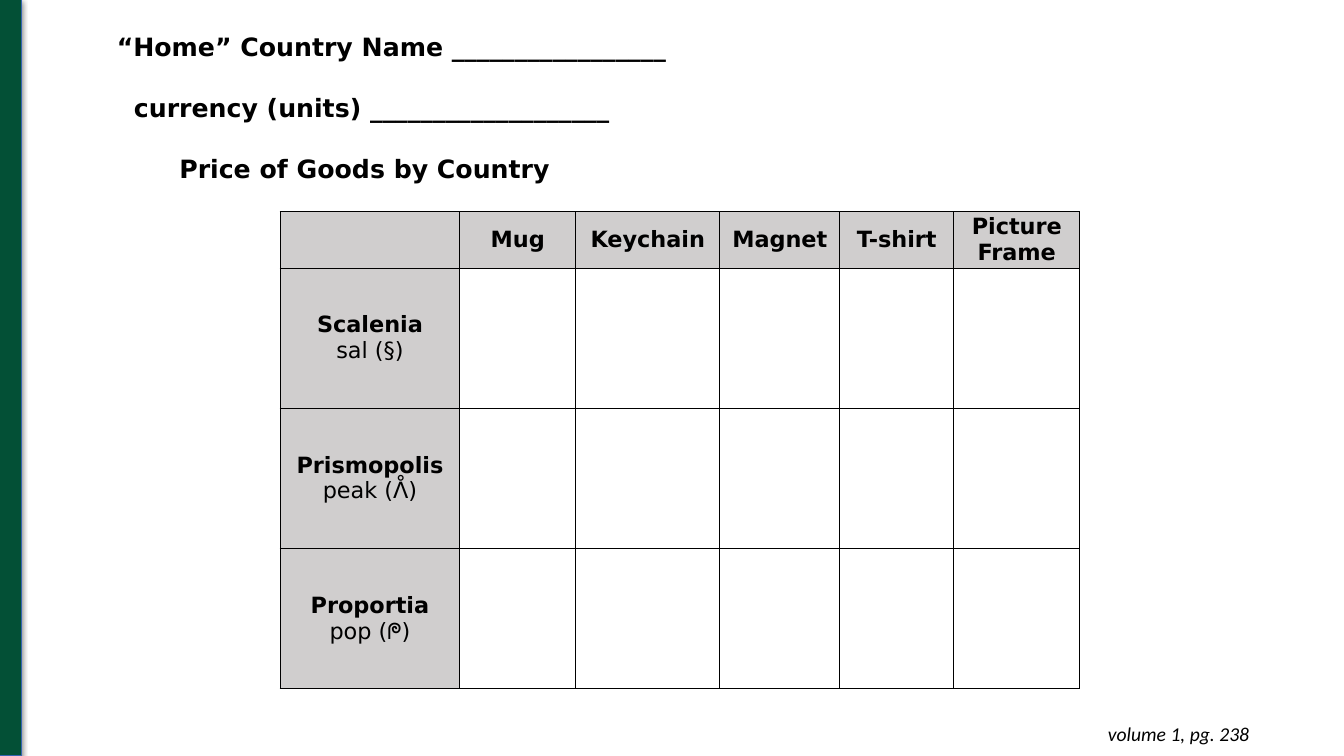
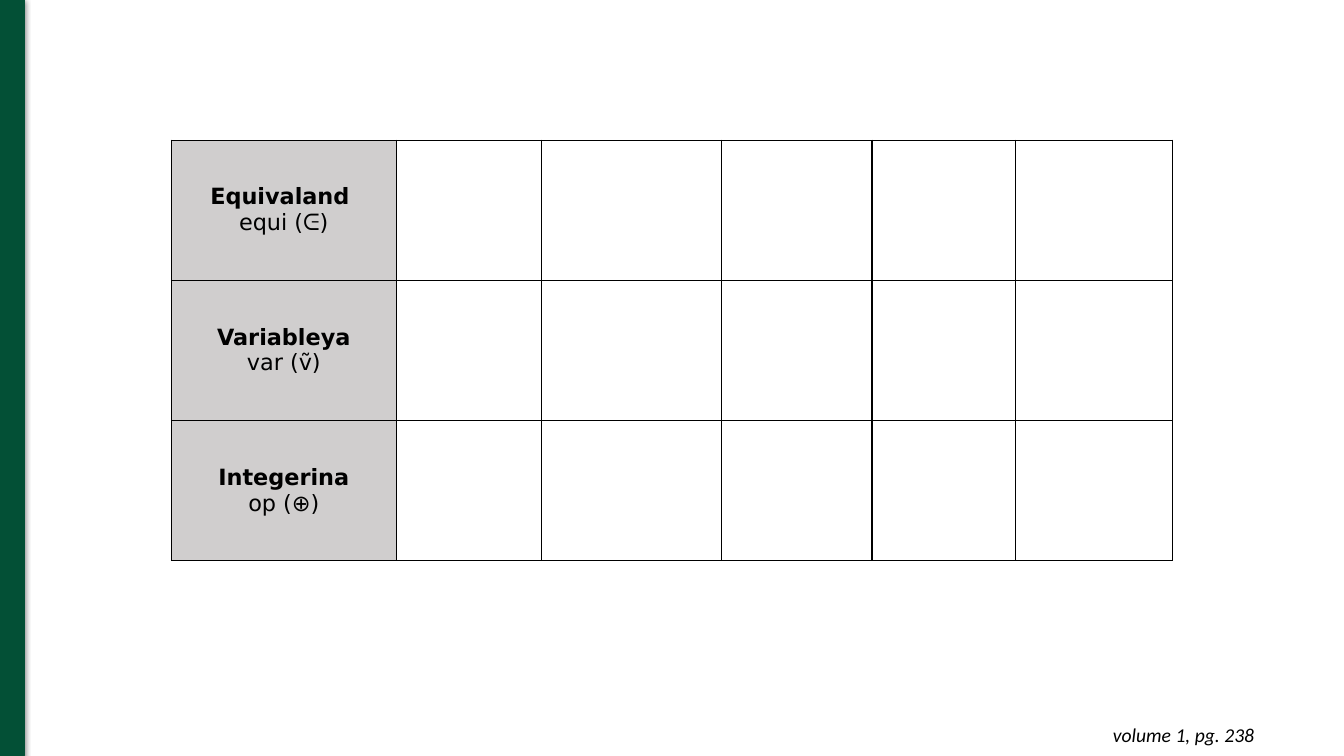
from lxml import etree
from pptx import Presentation
from pptx import util as u
from pptx.dml.color import RGBColor
from pptx.enum import shapes, text
from pptx.oxml import parse_xml
from pptx.oxml.ns import nsdecls, qn

GREEN, BLUE, GREY, BLACK = "035036", "3465B0", "D0CECE", "000000"
BODY_FONT, FOOTER_FONT = "DejaVu Sans", "Calibri"
BLANK_LAYOUT = 6


def rgb(value):
    return RGBColor.from_string(value)


def add_text(tf, content, first=False, font=BODY_FONT, size=16, bold=False,
             italic=False, align=text.PP_ALIGN.LEFT, indent=0, before=0):
    """Add one formatted paragraph to a text frame."""
    p = tf.paragraphs[0] if first else tf.add_paragraph()
    p.alignment = align
    if indent:
        p._p.get_or_add_pPr().set("marL", str(u.Inches(indent)))
    if before and not first:
        p.space_before = u.Pt(before)
    r = p.add_run()
    r.text = content
    r.font.name, r.font.size = font, u.Pt(size)
    r.font.bold, r.font.italic = bold, italic
    r.font.color.rgb = rgb(BLACK)


def add_box(s, x, y, w, h, margin=None):
    tf = s.shapes.add_textbox(*map(u.Inches, (x, y, w, h))).text_frame
    tf.word_wrap = True
    if margin is not None:
        tf.margin_left = tf.margin_right = u.Inches(margin)
        tf.margin_top = tf.margin_bottom = u.Inches(margin)
    return tf


def add_band(s, x, line):
    """Green band with a soft shadow along the left edge."""
    sp = s.shapes.add_shape(shapes.MSO_SHAPE.RECTANGLE,
                            *map(u.Inches, (x, -0.01, 0.24, 7.51)))
    sp.fill.solid()
    sp.fill.fore_color.rgb = rgb(GREEN)
    sp.line.color.rgb = rgb(line)
    sp.line.width = u.Pt(0.75)
    sp.shadow.inherit = False
    effects = sp._element.spPr.find(qn("a:effectLst"))
    effects.append(parse_xml(
        f'<a:outerShdw {nsdecls("a")} blurRad="{u.Pt(4.5)}" dist="{u.Pt(1.5)}" '
        f'dir="5400000" rotWithShape="0"><a:srgbClr val="{BLACK}">'
        '<a:alpha val="50000"/></a:srgbClr></a:outerShdw>'))


def add_footer(s, y, w):
    tf = add_box(s, 8, y, w, 0.44, margin=0.1)
    add_text(tf, "volume 1, pg. 238", first=True, font=FOOTER_FONT, size=14,
             italic=True, align=text.PP_ALIGN.RIGHT)


def set_borders(cell):
    tcPr = cell._tc.get_or_add_tcPr()
    for i, side in enumerate(("lnL", "lnR", "lnT", "lnB")):
        ln = etree.Element(qn(f"a:{side}"), w=str(u.Pt(1)))
        fill = etree.SubElement(ln, qn("a:solidFill"))
        etree.SubElement(fill, qn("a:srgbClr"), val=BLACK)
        tcPr.insert(i, ln)


def fill_label(cell, lines):
    """Bold first line, regular lines after it, on grey."""
    cell.fill.solid()
    cell.fill.fore_color.rgb = rgb(GREY)
    if not lines:
        return
    cell.vertical_anchor = text.MSO_ANCHOR.MIDDLE
    cell.margin_left = cell.margin_right = u.Inches(0.07)
    cell.margin_top = cell.margin_bottom = 0
    for i, line in enumerate(lines):
        add_text(cell.text_frame, line, first=i == 0, bold=i == 0,
                 align=text.PP_ALIGN.CENTER)


def add_price_table(s, x, y, widths, countries, goods=None):
    """Price grid: countries down the side, optional goods along the top."""
    header = 1 if goods else 0
    heights = [0.56] * header + [1.39] * len(countries)
    frame = s.shapes.add_table(len(heights), len(widths), *map(
        u.Inches, (x, y, sum(widths), sum(heights))))
    table = frame.table
    table.first_row = table.horz_banding = False
    for column, w in zip(table.columns, widths):
        column.width = u.Inches(w)
    for row, h in zip(table.rows, heights):
        row.height = u.Inches(h)
    for cell in table.iter_cells():
        cell.fill.background()
        set_borders(cell)
    if goods:
        fill_label(table.cell(0, 0), ())
        for c, name in enumerate(goods, 1):
            fill_label(table.cell(0, c), (name,))
    for r, lines in enumerate(countries, header):
        fill_label(table.cell(r, 0), lines)


def main():
    prs = Presentation()
    prs.slide_width, prs.slide_height = u.Inches(13.33), u.Inches(7.5)
    blank = prs.slide_layouts[BLANK_LAYOUT]

    # Slide 1: name lines and the first three countries
    s = prs.slides.add_slide(blank)
    add_band(s, -0.03, BLUE)
    tf = add_box(s, 0.68, 0.26, 10.62, 1.62)
    headings = (("“Home” Country Name _________________", 0.38),
                ("currency (units) ___________________", 0.55),
                ("Price of Goods by Country", 1))
    for i, (line, indent) in enumerate(headings):
        add_text(tf, line, first=i == 0, size=18, bold=True, indent=indent,
                 before=22)
    add_footer(s, 7.06, 4.49)
    add_price_table(s, 2.78, 2.1, (1.78, 1.15, 1.43, 1.19, 1.13, 1.25),
                    (("Scalenia", "sal (§)"),
                     ("Prismopolis", "peak (ᐰ)"),
                     ("Proportia", "pop (ᖘ)")),
                    goods=("Mug", "Keychain", "Magnet", "T-shirt",
                           "Picture Frame"))

    # Slide 2: the other three countries
    s = prs.slides.add_slide(blank)
    add_band(s, 0, GREEN)
    add_footer(s, 7.07, 4.54)
    add_price_table(s, 1.7, 1.39, (2.23, 1.44, 1.79, 1.49, 1.42, 1.56),
                    (("Equivaland ", "equi (ᕮ)"),
                     ("Variableya", "var (ṽ)"),
                     ("Integerina", "op (⊕)")))

    prs.save("out.pptx")


if __name__ == "__main__":
    main()
